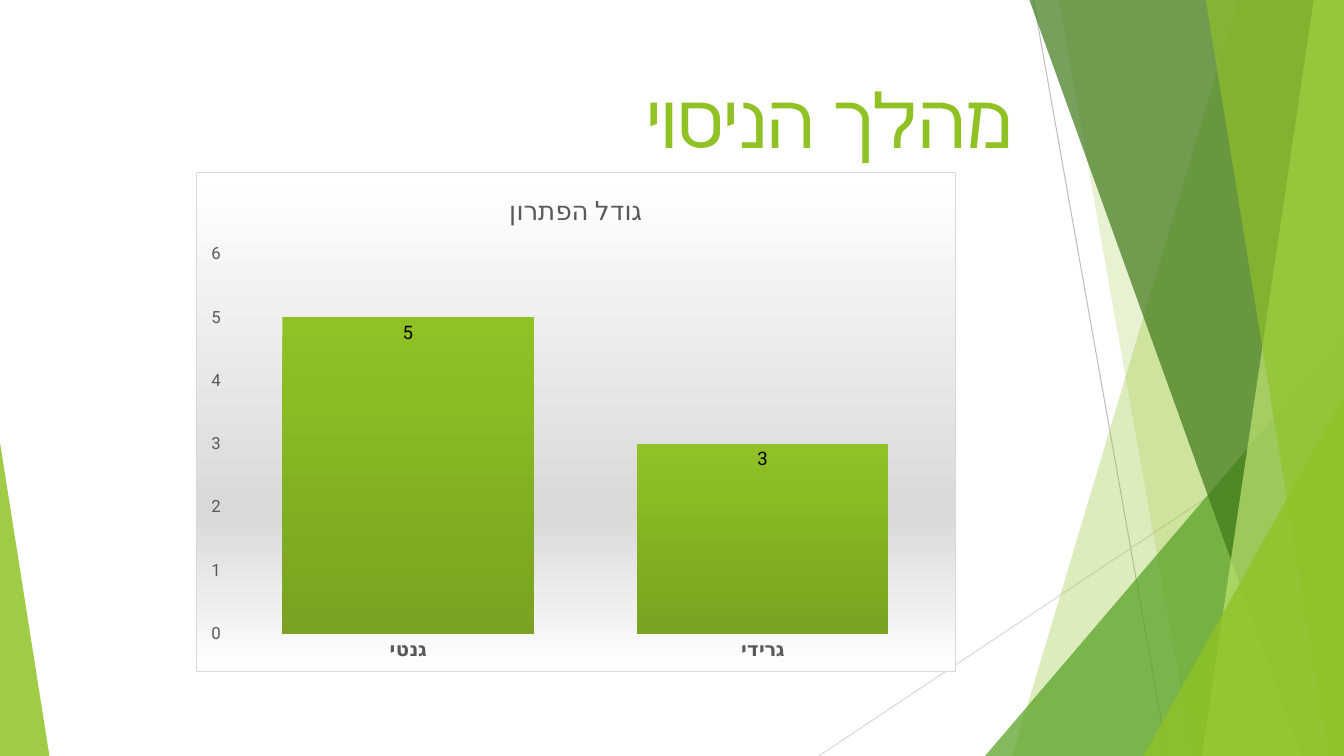
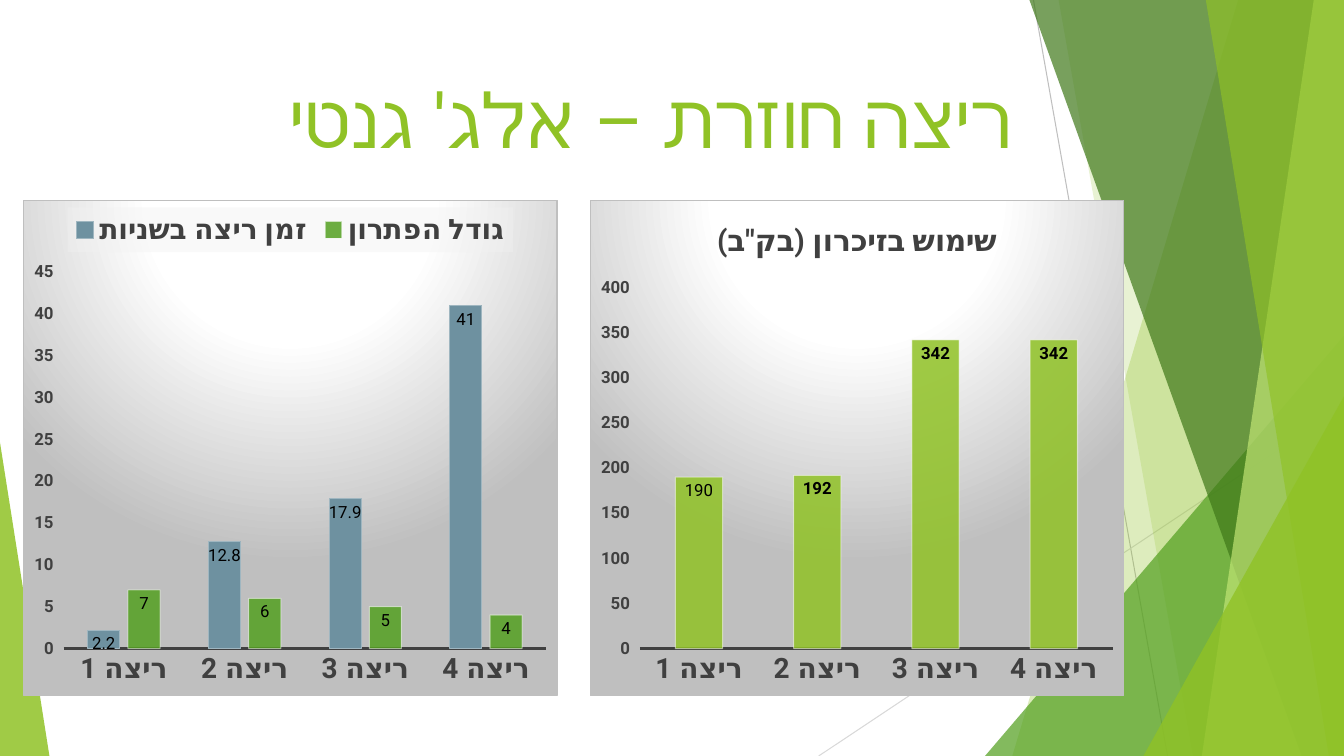
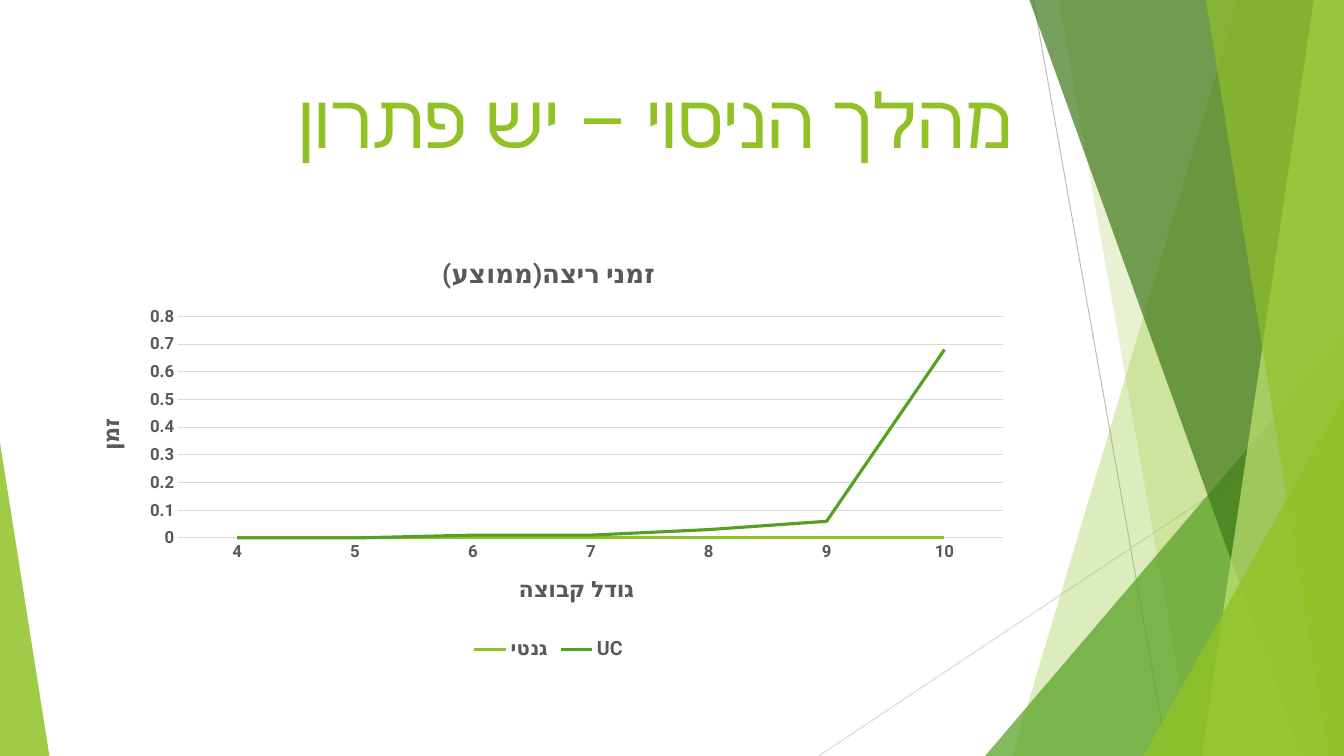
from lxml import etree
from pptx import Presentation
from pptx import util as u
from pptx.chart import data as cd
from pptx.dml.color import RGBColor
from pptx.enum import chart as ce, shapes, text
from pptx.oxml import ns, parse_xml

Inches = u.Inches
FONT = "Roboto"
LIME, GREEN, DARK, PALE = "90C226", "54A021", "3F7819", "C0E474"
GREY, INK, RULE = "595959", "404040", "D9D9D9"
WIDE, HIGH = 13.33, 7.5


def paint(fill, hue, alpha=100):
    fill.solid()
    fill.fore_color.rgb = RGBColor.from_string(hue)
    if alpha < 100:
        tone = fill._xPr.find(".//" + ns.qn("a:srgbClr"))
        etree.SubElement(tone, ns.qn("a:alpha"), val=str(alpha * 1000))


def letter(font, size, hue, bold=False):
    font.name = FONT
    font.size = u.Pt(size)
    font.bold = bold
    paint(font.fill, hue)
    etree.SubElement(font._rPr, ns.qn("a:cs"), typeface=FONT)


deck = Presentation()
deck.slide_width, deck.slide_height = Inches(WIDE), Inches(HIGH)
layout = deck.slide_layouts[5]

XML = f'<c:spPr {ns.nsdecls("c", "a")}>%s</c:spPr>'
GRAD = '<a:gradFill><a:gsLst>%s</a:gsLst>%s</a:gradFill>'
STOP = '<a:gs pos="%d"><a:srgbClr val="%s"/></a:gs>'
EDGE = '<a:ln w="9525"><a:solidFill><a:srgbClr val="%s"/></a:solidFill></a:ln>'
DOWN = '<a:lin ang="5400000" scaled="0"/>'
RING = '<a:path path="circle"><a:fillToRect l="50000" t="-80000" r="50000" b="180000"/></a:path>'
VEIL = '<a:solidFill><a:srgbClr val="F2F2F2"><a:alpha val="39000"/></a:srgbClr></a:solidFill>'


BAND = [
    STOP % (0, "FFFFFF") + STOP % (68000, RULE) + STOP % (100000, "FFFFFF"),
    STOP % (0, "FFFFFF") + STOP % (39000, "FFFFFF") + STOP % (100000, "BFBFBF"),
]
SHEEN = GRAD % (BAND[0], DOWN) + EDGE % RULE
GLOW = GRAD % (BAND[1], RING) + EDGE % "BFBFBF"
CLEAR = "<a:noFill/><a:ln><a:noFill/></a:ln>"

BAR = ce.XL_CHART_TYPE.COLUMN_CLUSTERED
LINE = ce.XL_CHART_TYPE.LINE
TOP, LOW = ce.XL_LEGEND_POSITION.TOP, ce.XL_LEGEND_POSITION.BOTTOM
RUNS = [f"ריצה {n}" for n in range(1, 5)]
DUO = dict(kind=BAR, back=GLOW, cats=RUNS, hue=INK, gap=150, lap=-25,
           cat=20, bold=True, base=(INK, 1.5))

PAGES = [
    ("מהלך הניסוי", [dict(
        kind=BAR, box=(1.94, 1.71, 7.54, 4.96), back=SHEEN,
        cats=["גנטי", "גרידי"], title=("גודל הפתרון", 18.6, False),
        hue=GREY, gap=41, lap=0, cat=14, bold=False, top=6, step=1,
        rows=[("Series 1", [5, 3], LIME, 100, None)], label=(13.3, False))]),
    ("ריצה חוזרת – אלג' גנטי", [
        dict(DUO, box=(0.23, 1.98, 5.3, 4.93), top=45, step=5,
             legend=(TOP, 20), label=(12, False), rows=[
                 ("זמן ריצה בשניות", [2.2, 12.8, 17.9, 41], "6E91A0", 100, ("9FB6C0", 100)),
                 ("גודל הפתרון", [7, 6, 5, 4], GREEN, 85, ("FFFFFF", 50))]),
        dict(DUO, box=(5.85, 1.98, 5.3, 4.93), top=400, step=50,
             title=('שימוש בזיכרון (בק"ב)', 21.3, True), label=(12, True), plain=0,
             rows=[("Series 1", [190, 192, 342, 342], LIME, 85, ("FFFFFF", 50))])]),
    ("מהלך הניסוי – יש פתרון", [dict(
        kind=LINE, box=(0.74, 2.36, 9.4, 4.24), back=CLEAR,
        cats=[str(n) for n in range(4, 11)], title=("זמני ריצה(ממוצע)", 18.6, True),
        hue=GREY, cat=12, bold=True, base=(RULE, 0.75), top=0.8, step=0.1,
        legend=(LOW, 14), names=("גודל קבוצה", "זמן"), rows=[
            ("גנטי", [0] * 7, LIME, 100, None),
            ("UC", [0, 0, 0.01, 0.01, 0.03, 0.06, 0.68], GREEN, 100, None)])]),
]

ART = [
    ("band", 12.28, 10.04, LIME, 30),
    ("band", 10.5, 11.83, LIME, 20),
    ("peak", 9.77, 3.33, 3.56, 1, GREEN, 72),
    ("band", 10.21, 12.91, DARK, 70),
    ("band", 13.03, 11.92, PALE, 70),
    ("band", 11.96, 13.18, LIME, 65),
    ("peak", 11.34, 3.93, 1.99, 1, LIME, 80),
    ("peak", 0, 4.39, 0.49, 0, LIME, 85),
]

for page, (head, charts) in enumerate(PAGES):
    slide = deck.slides.add_slide(layout)

    if page == 0:
        group = slide.shapes.add_group_shape()
        for x1, y1, x2, y2, hue in [(10.25, 0, 11.58, HIGH, "BFBFBF"),
                                    (WIDE, 4.03, 8.12, HIGH, RULE)]:
            line = group.shapes.add_connector(
                shapes.MSO_CONNECTOR.STRAIGHT,
                Inches(x1), Inches(y1), Inches(x2), Inches(y2))
            paint(line.line.fill, hue)
            line.line.width = u.Pt(0.75)
            etree.SubElement(line.element.spPr, ns.qn("a:effectLst"))
        for sort, *nums, hue, alpha in ART:
            if sort == "band":
                high, low = nums
                pen = group.shapes.build_freeform(Inches(high), 0)
                pen.add_line_segments([(Inches(x), Inches(y)) for x, y in
                                       [(WIDE, 0), (WIDE, HIGH), (low, HIGH)]])
                shape = pen.convert_to_shape()
            else:
                x, y, w, tip = nums
                shape = group.shapes.add_shape(
                    shapes.MSO_SHAPE.ISOSCELES_TRIANGLE,
                    Inches(x), Inches(y), Inches(w), Inches(HIGH - y))
                shape.adjustments[0] = tip
            paint(shape.fill, hue, alpha)
            shape.line.fill.background()
            shape.shadow.inherit = False
        layout.shapes.element.append(group.element)

    title = slide.shapes.title
    title.left, title.top, title.width, title.height = map(Inches, (0.74, 0.67, 9.4, 1.44))
    frame = title.text_frame
    frame.word_wrap = True
    frame.auto_size = text.MSO_AUTO_SIZE.NONE
    frame.vertical_anchor = text.MSO_ANCHOR.TOP
    para = frame.paragraphs[0]
    para.alignment = text.PP_ALIGN.RIGHT
    para._p.get_or_add_pPr().set("rtl", "1")
    run = para.add_run()
    run.text = head
    letter(run.font, 54, LIME)

    for item in charts:
        data = cd.CategoryChartData()
        data.categories = item["cats"]
        for name, vals, *rest in item["rows"]:
            data.add_series(name, vals)
        chart = slide.shapes.add_chart(item["kind"], *map(Inches, item["box"]), data).chart
        letter(chart.font, 10, "000000")
        chart.element.find(ns.qn("c:chart")).addnext(parse_xml(XML % item["back"]))
        bars = item["kind"] == BAR
        plot = chart.plots[0]
        plot.vary_by_categories = False
        hue = item["hue"]

        cat, val = chart.category_axis, chart.value_axis
        cat.major_tick_mark = ce.XL_TICK_MARK.NONE
        val.major_tick_mark = ce.XL_TICK_MARK.OUTSIDE if bars else ce.XL_TICK_MARK.NONE
        letter(cat.tick_labels.font, item["cat"], hue, True)
        letter(val.tick_labels.font, 12, hue, item["bold"])
        val.minimum_scale, val.maximum_scale = 0, item["top"]
        val.major_unit = item["step"]
        val.format.line.fill.background()
        val.has_major_gridlines = not bars
        if "base" in item:
            paint(cat.format.line.fill, item["base"][0])
            cat.format.line.width = u.Pt(item["base"][1])
        else:
            cat.format.line.fill.background()
        if not bars:
            paint(val.major_gridlines.format.line.fill, RULE)
            val.major_gridlines.format.line.width = u.Pt(0.75)

        heads = []
        chart.has_title = "title" in item
        if chart.has_title:
            heads.append((chart.chart_title, *item["title"]))
            chart.chart_title.include_in_layout = False
        for axis, name in zip((cat, val), item.get("names", ())):
            heads.append((axis.axis_title, name, 16, True))
        for owner, words, size, bold in heads:
            run = owner.text_frame.paragraphs[0].add_run()
            run.text = words
            letter(run.font, size, hue, bold)
        if "names" in item:
            val.axis_title.text_frame._txBody.bodyPr.set("rot", "-5400000")

        chart.has_legend = "legend" in item
        if chart.has_legend:
            legend = chart.legend
            legend.position, size = item["legend"]
            legend.include_in_layout = False
            letter(legend.font, size, hue, True)
            if bars:
                legend._element.find(ns.qn("c:overlay")).addnext(parse_xml(XML % VEIL))

        if bars:
            plot.gap_width, plot.overlap = item["gap"], item["lap"]
        for row, (name, vals, tone, alpha, edge) in zip(plot.series, item["rows"]):
            form = row.format
            if not bars:
                row.smooth = False
                row.marker.style = ce.XL_MARKER_STYLE.NONE
                paint(form.line.fill, tone)
                form.line.width = u.Pt(2.25)
                continue
            if edge:
                paint(form.fill, tone, alpha)
                paint(form.line.fill, *edge)
                form.line.width = u.Pt(0.75)
            else:
                form.fill.gradient()
                form.fill.gradient_angle = 270
                for stop, shade in zip(form.fill.gradient_stops, (tone, "79A320")):
                    stop.color.rgb = RGBColor.from_string(shade)
            size, bold = item["label"]
            labels = row.data_labels
            labels.show_value = True
            labels.position = ce.XL_LABEL_POSITION.INSIDE_END
            letter(labels.font, size, "000000", bold)
            if "plain" in item:
                label = row.points[item["plain"]].data_label
                letter(label.font, size, "000000")
                label.position = ce.XL_LABEL_POSITION.INSIDE_END

deck.save("out.pptx")
